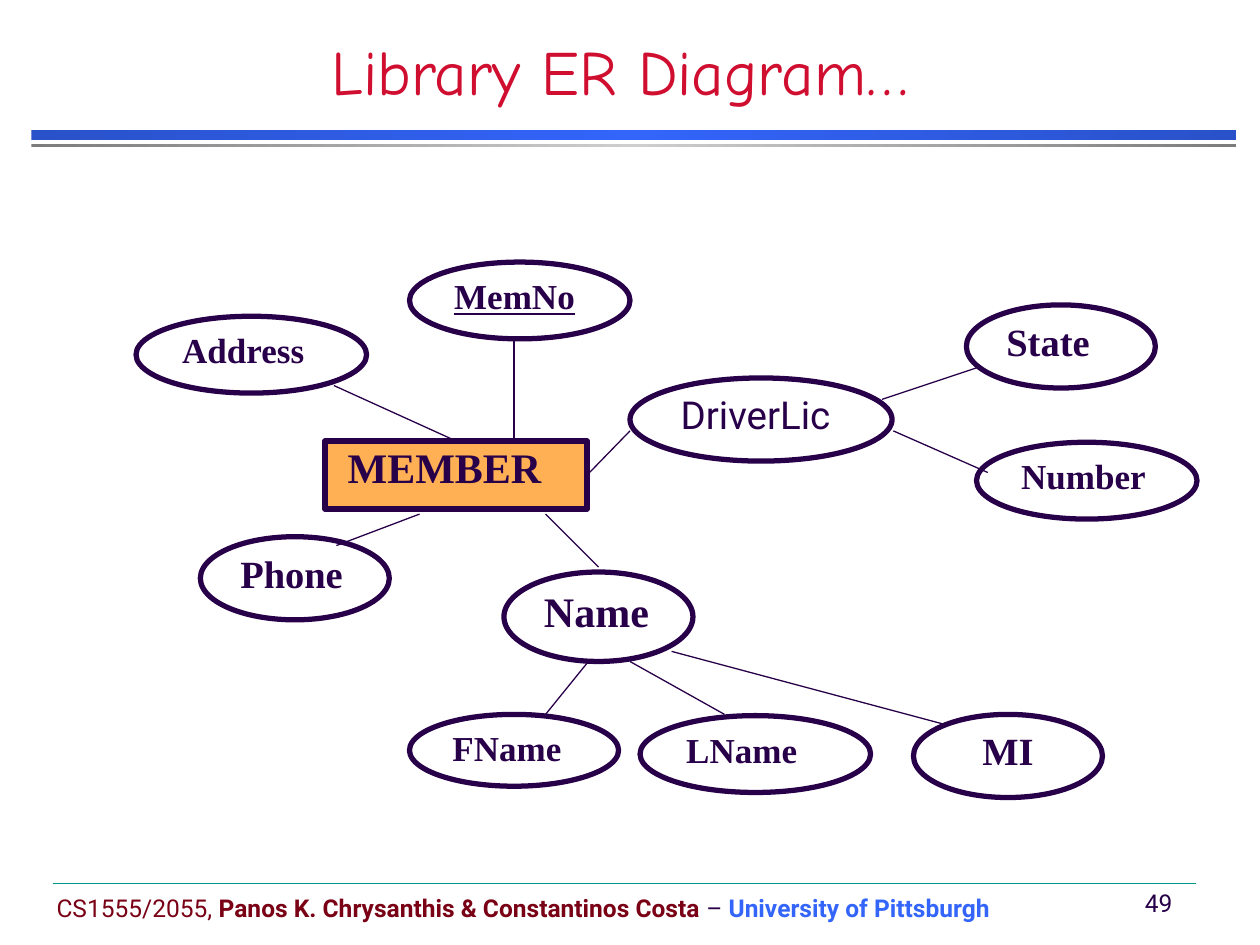
from copy import deepcopy
from dataclasses import dataclass
from typing import Optional

from lxml.etree import SubElement
from pptx import Presentation
from pptx.dml.color import RGBColor
from pptx.enum.shapes import MSO_CONNECTOR as Link, MSO_SHAPE as Preset
from pptx.enum.text import MSO_ANCHOR as Anchor, MSO_AUTO_SIZE as AutoSize, PP_ALIGN as Align
from pptx.oxml.ns import qn
from pptx.util import Emu, Pt

PX = 9144
TOP, RIGHT = 0, 3
SERIF, SANS, TITLE_FONT = "Times New Roman", "Roboto", "Comic Neue"
COLORS = {
    "ink": "280049", "entity": "FFB054", "paper": "FFFFFF", "title": "CF0E30",
    "maroon": "790015", "blue": "3365FB", "blue_edge": "2951C9",
    "gray": "CECECE", "gray_edge": "7C7C7C", "rule": "009688",
}


@dataclass
class Node:
    text: str
    left: int
    top: int
    width: int
    height: int
    size: int = 20
    font: str = SERIF
    bold: bool = True
    underline: bool = False
    preset: Preset = Preset.OVAL
    fill: str = "paper"
    align: Align = Align.LEFT
    inset: int = 10


@dataclass
class Edge:
    start: tuple[int, int]
    end: tuple[int, int]
    start_join: Optional[tuple[str, int]] = None
    end_join: Optional[tuple[str, int]] = None


NODES = [
    Node("MEMBER", 258, 350, 208, 54, 24, preset=Preset.RECTANGLE, fill="entity", inset=18),
    Node("Address", 108, 251, 183, 61),
    Node("DriverLic", 500, 300, 208, 66, 22, font=SANS, bold=False),
    Node("MemNo", 325, 208, 175, 61, underline=True),
    Node("Name", 400, 454, 150, 71, 24),
    Node("Phone", 159, 426, 150, 66, 22),
    Node("FName", 325, 567, 166, 57),
    Node("LName", 508, 568, 183, 61),
    Node("MI", 725, 567, 150, 66, 22, align=Align.CENTER),
    Node("State", 767, 242, 150, 66, 22),
    Node("Number", 775, 351, 175, 61),
]
EDGES = [
    Edge((265, 306), (362, 350), end_join=("MEMBER", TOP)),
    Edge((333, 408), (267, 433)),
    Edge((408, 267), (408, 350)),
    Edge((466, 377), (500, 342), start_join=("MEMBER", RIGHT)),
    Edge((433, 408), (475, 450)),
    Edge((467, 525), (433, 567)),
    Edge((500, 525), (575, 567)),
    Edge((533, 517), (750, 575)),
    Edge((700, 317), (775, 292)),
    Edge((709, 342), (784, 375)),
]


def px(*values: int) -> list[Emu]:
    return [Emu(value * PX) for value in values]


def color(name: str) -> RGBColor:
    return RGBColor.from_string(COLORS[name])


def add_text(para, text: str, *, size: int, font: str, ink: str = "ink",
             bold: bool = False, underline: bool = False) -> None:
    span = para.add_run()
    span.text = text
    span.font.size = Pt(size)
    span.font.name = font
    span.font.color.rgb = color(ink)
    span.font.bold = bold
    span.font.underline = underline


def prepare_frame(box, *, anchor: Anchor, align: Align = Align.LEFT,
                  inset: int = 10, spacing: float = 1.0):
    frame = box.text_frame
    frame.word_wrap = True
    frame.auto_size = AutoSize.NONE
    frame.vertical_anchor = anchor
    frame.margin_left, frame.margin_right, frame.margin_top, frame.margin_bottom = px(inset, 10, 5, 5)
    para = frame.paragraphs[0]
    para.alignment = align
    para.line_spacing = spacing
    para.space_before = Pt(0)
    return para


def add_band(page, top: int, height: int, middle: str, edge: str) -> None:
    band = page.shapes.add_shape(Preset.RECTANGLE, *px(25, top, 956, height))
    band.shadow.inherit = False
    band.line.fill.background()
    band.fill.gradient()
    band.fill.gradient_angle = 0
    stop_list = next(band._element.spPr.iter(qn("a:gsLst")))
    stop_list.append(deepcopy(stop_list[0]))
    for stop, position, name in zip(band.fill.gradient_stops, (0, 0.5, 1), (edge, middle, edge)):
        stop.position = position
        stop.color.rgb = color(name)


def add_node(page, node: Node):
    shape = page.shapes.add_shape(node.preset, *px(node.left, node.top, node.width, node.height))
    shape.shadow.inherit = False
    shape.fill.solid()
    shape.fill.fore_color.rgb = color(node.fill)
    shape.line.color.rgb = color("ink")
    shape.line.width = Pt(3)
    para = prepare_frame(shape, anchor=Anchor.TOP, align=node.align, inset=node.inset, spacing=0.9)
    add_text(para, node.text, size=node.size, font=node.font, bold=node.bold, underline=node.underline)
    return shape


def add_line(page, edge: Edge, shapes: dict, ink: str = "ink", width: float = 0.75) -> None:
    line = page.shapes.add_connector(Link.STRAIGHT, *px(*edge.start, *edge.end))
    line.line.color.rgb = color(ink)
    line.line.width = Pt(width)
    SubElement(line._element.spPr, qn("a:effectLst"))
    if edge.start_join:
        name, side = edge.start_join
        line.begin_connect(shapes[name], side)
    if edge.end_join:
        name, side = edge.end_join
        line.end_connect(shapes[name], side)


def add_footer(page) -> None:
    credit = page.shapes.add_textbox(*px(35, 704, 811, 33))
    para = prepare_frame(credit, anchor=Anchor.MIDDLE)
    for text, ink, bold in (
        ("CS1555/2055, ", "maroon", False),
        ("Panos K. Chrysanthis & Constantinos Costa", "maroon", True),
        (" – ", "ink", False),
        ("University of Pittsburgh", "blue", True),
    ):
        add_text(para, text, size=14, font=SANS, ink=ink, bold=bold)
    number = page.shapes.add_textbox(*px(895, 700, 49, 33))
    para = prepare_frame(number, anchor=Anchor.MIDDLE, align=Align.CENTER)
    add_text(para, "49", size=14, font=SANS)


def main() -> None:
    deck = Presentation()
    deck.slide_width, deck.slide_height = px(1000, 750)
    page = deck.slides.add_slide(deck.slide_layouts[5])

    title = page.shapes.title
    title.left, title.top, title.width, title.height = px(67, 17, 850, 75)
    para = prepare_frame(title, anchor=Anchor.BOTTOM, align=Align.CENTER, spacing=0.9)
    add_text(para, "Library ER Diagram…", size=36, font=TITLE_FONT, ink="title")

    add_band(page, 103, 8, "blue", "blue_edge")
    add_band(page, 114, 3, "gray", "gray_edge")
    add_footer(page)
    add_line(page, Edge((42, 701), (949, 701)), {}, ink="rule", width=0.25)

    shapes = {node.text: add_node(page, node) for node in NODES}
    for edge in EDGES:
        add_line(page, edge, shapes)
    deck.save("out.pptx")


if __name__ == "__main__":
    main()
